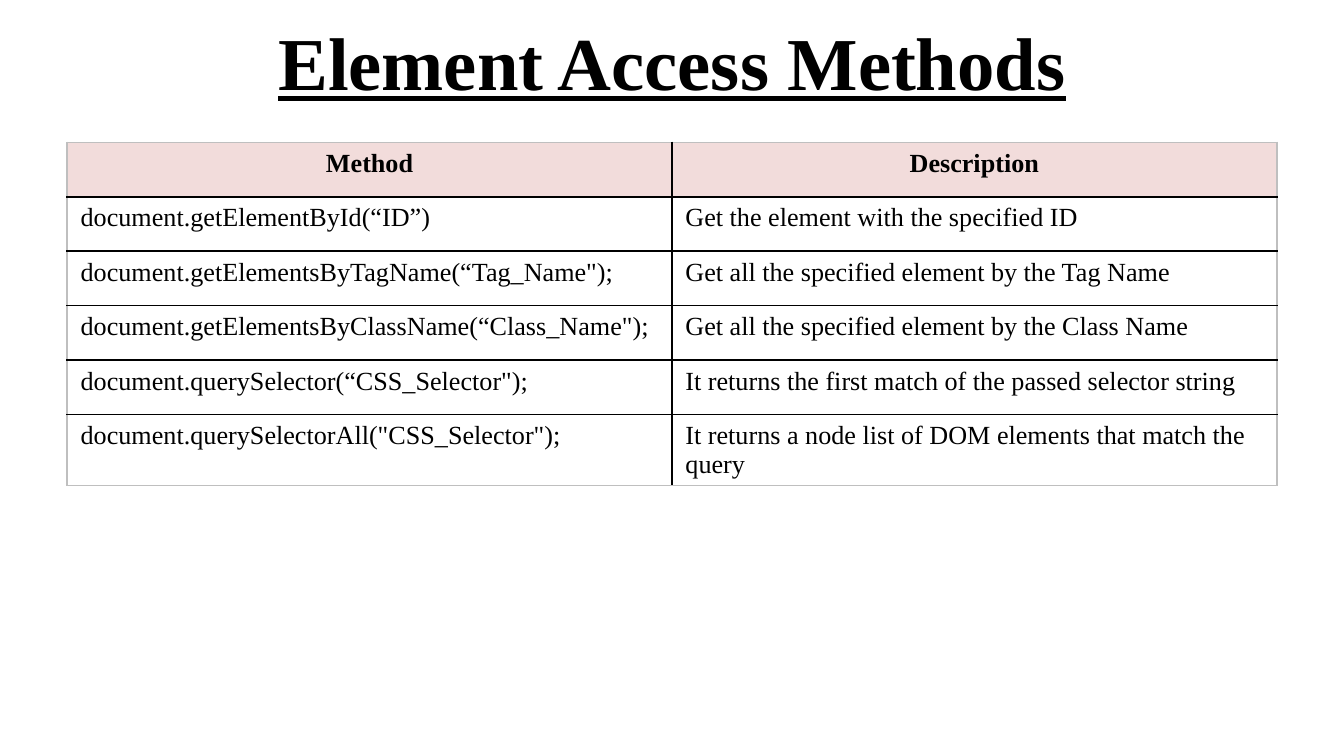
from dataclasses import dataclass

from lxml import etree
from pptx import Presentation
from pptx.dml.color import RGBColor
from pptx.enum.text import MSO_ANCHOR, PP_ALIGN
from pptx.oxml.ns import qn
from pptx.util import Inches, Pt

CENTER, LEFT = PP_ALIGN.CENTER, PP_ALIGN.LEFT
MIDDLE = MSO_ANCHOR.MIDDLE


@dataclass
class Theme:
    face: str = "Times New Roman"
    ink: str = "000000"
    edge: str = "BFBFBF"
    head: str = "F2DCDB"
    title: int = 40
    body: int = 14
    rule: int = 1


theme = Theme()


def style(para, size, bold, align):
    para.alignment = align
    font = para.font
    font.name, font.size, font.bold = theme.face, Pt(size), bold
    font.color.rgb = RGBColor.from_string(theme.ink)


def border(cell, side, color):
    props = cell._tc.get_or_add_tcPr()
    line = etree.SubElement(props, qn(f"a:ln{side}"), w=str(Pt(theme.rule)))
    fill = etree.SubElement(line, qn("a:solidFill"))
    etree.SubElement(fill, qn("a:srgbClr"), val=color)


# Widescreen slide, 16:9
deck = Presentation()
deck.slide_width = Inches(10)
deck.slide_height = Inches(10) * 9 // 16
slide = deck.slides.add_slide(deck.slide_layouts[5])

# Title
title = slide.shapes.title
title.left, title.top = Inches(0.5), Inches(-0.02)
title.width, title.height = Inches(9), Inches(0.94)
frame = title.text_frame
frame.text = "Element Access Methods"
frame.vertical_anchor = MIDDLE
style(frame.paragraphs[0], theme.title, True, CENTER)
frame.paragraphs[0].font.underline = True

# Table of methods
rows = [
    ("Method", "Description"),
    ("document.getElementById(“ID”)", "Get the element with the specified ID"),
    ('document.getElementsByTagName(“Tag_Name");',
     "Get all the specified element by the Tag Name"),
    ('document.getElementsByClassName(“Class_Name");',
     "Get all the specified element by the Class Name"),
    ('document.querySelector(“CSS_Selector");',
     "It returns the first match of the passed selector string"),
    ('document.querySelectorAll("CSS_Selector");',
     "It returns a node list of DOM elements that match the query"),
]
last = len(rows) - 1
table = slide.shapes.add_table(
    len(rows), 2, Inches(0.5), Inches(1.06), Inches(9), Inches(2.43)).table

for r, row in enumerate(rows):
    for c, text in enumerate(row):
        cell = table.cell(r, c)
        cell.text = text
        top = r == 0
        style(cell.text_frame.paragraphs[0], theme.body, top,
              CENTER if top else LEFT)

        # Grey outer edge, black inner rules
        outer = {"L": c == 0, "R": c == 1, "T": top, "B": r == last}
        for side, out in outer.items():
            border(cell, side, theme.edge if out else theme.ink)

        # Tinted header, clear body
        if top:
            cell.fill.solid()
            cell.fill.fore_color.rgb = RGBColor.from_string(theme.head)
        else:
            cell.fill.background()

deck.save("out.pptx")
